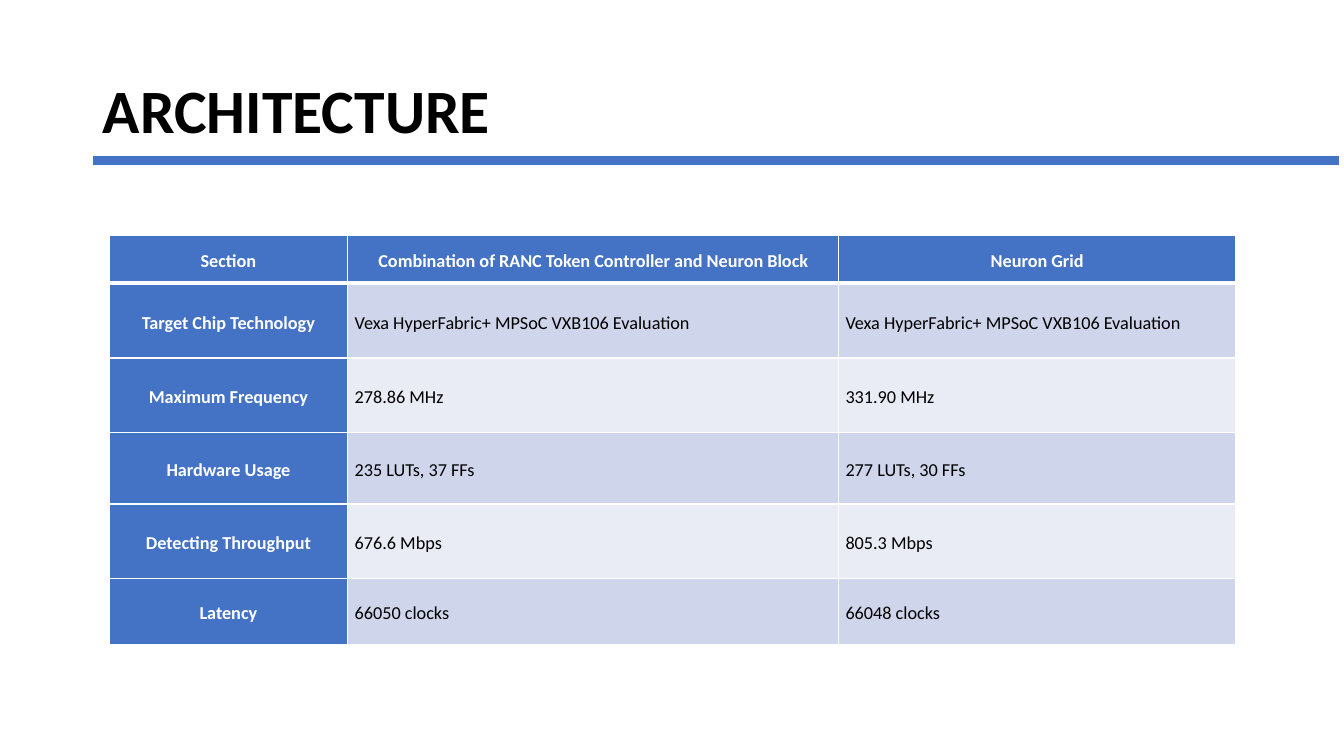
"""Build the ARCHITECTURE slide: a title, a blue rule and a table comparing two designs."""
import pptx
import pptx.dml.color
import pptx.enum.shapes
import pptx.enum.text
import pptx.oxml
import pptx.oxml.ns
import pptx.util

Pt = pptx.util.Pt
ALIGN = pptx.enum.text.PP_ALIGN
MIDDLE = pptx.enum.text.MSO_ANCHOR.MIDDLE
BLUE, WHITE, BLACK = "4472C4", "FFFFFF", "000000"
BANDS = ["CFD5EA", "E9EBF5"]
CHIP = "Vexa HyperFabric+ MPSoC VXB106 Evaluation"
ROWS = [
    ("Section", "Combination of RANC Token Controller and Neuron Block", "Neuron Grid"),
    ("Target Chip Technology", CHIP, CHIP),
    ("Maximum Frequency", "278.86 MHz", "331.90 MHz"),
    ("Hardware Usage", "235 LUTs, 37 FFs", "277 LUTs, 30 FFs"),
    ("Detecting Throughput", "676.6 Mbps", "805.3 Mbps"),
    ("Latency", "66050 clocks", "66048 clocks"),
]
COLUMN_WIDTHS = [170.6, 350.6, 283.7]
ROW_HEIGHTS = [34.6, 53.3, 53.3, 51.1, 53.3, 46.8]


def color(hex_string):
    return pptx.dml.color.RGBColor.from_string(hex_string)


def write(frame, text, size, hex_string, bold, paragraph_format):
    frame.text = text
    paragraph = frame.paragraphs[0]
    for name, value in paragraph_format.items():
        setattr(paragraph, name, value)
    font = paragraph.runs[0].font
    for name, value in {"name": "Calibri", "size": Pt(size), "bold": bold}.items():
        setattr(font, name, value)
    font.color.rgb = color(hex_string)


presentation = pptx.Presentation()
presentation.slide_width, presentation.slide_height = Pt(960), Pt(540)
slide = presentation.slides.add_slide(presentation.slide_layouts[5])

title = slide.shapes.title
title_format = {"left": Pt(66.2), "top": Pt(28.8), "width": Pt(828), "height": Pt(104.4)}
for name, value in title_format.items():
    setattr(title, name, value)
title.text_frame.auto_size = pptx.enum.text.MSO_AUTO_SIZE.NONE
title.text_frame.vertical_anchor = MIDDLE
write(title.text_frame, "ARCHITECTURE", 44, BLACK, True,
      {"alignment": ALIGN.LEFT, "line_spacing": 0.9, "space_before": Pt(0)})

rule = slide.shapes.add_connector(
    pptx.enum.shapes.MSO_CONNECTOR.STRAIGHT, Pt(66.2), Pt(114.7), Pt(956.2), Pt(114.7))
rule.line.color.rgb = color(BLUE)
rule.line.width = Pt(6)
rule._element.spPr.append(pptx.oxml.parse_xml(
    f'<a:effectLst {pptx.oxml.ns.nsdecls("a")}/>'))

table = slide.shapes.add_table(
    len(ROWS), len(COLUMN_WIDTHS), Pt(77.8), Pt(167.8),
    Pt(sum(COLUMN_WIDTHS)), Pt(sum(ROW_HEIGHTS))).table
table.first_col = True
for column, width in zip(table.columns, COLUMN_WIDTHS):
    column.width = Pt(width)
for row, height in zip(table.rows, ROW_HEIGHTS):
    row.height = Pt(height)

cell_format = {"vertical_anchor": MIDDLE, "margin_left": Pt(5), "margin_right": Pt(5),
               "margin_top": 0, "margin_bottom": 0}
for row_index, texts in enumerate(ROWS):
    for column_index, text in enumerate(texts):
        cell = table.cell(row_index, column_index)
        for name, value in cell_format.items():
            setattr(cell, name, value)
        heading = row_index == 0 or column_index == 0
        write(cell.text_frame, text, 13, WHITE if heading else BLACK, heading,
              {"alignment": ALIGN.CENTER if heading else ALIGN.JUSTIFY,
               "line_spacing": 1.2, "space_before": Pt(6), "space_after": Pt(6)})
        for side in "LRTB":
            thick = (row_index, side) in [(0, "B"), (1, "T")]
            cell._tc.get_or_add_tcPr().append(pptx.oxml.parse_xml(
                f'<a:ln{side} {pptx.oxml.ns.nsdecls("a")} w="{Pt(3 if thick else 1)}">'
                f'<a:solidFill><a:srgbClr val="{WHITE}"/></a:solidFill></a:ln{side}>'))
        cell.fill.solid()
        cell.fill.fore_color.rgb = color(BLUE if heading else BANDS[(row_index - 1) % 2])

presentation.save("out.pptx")
